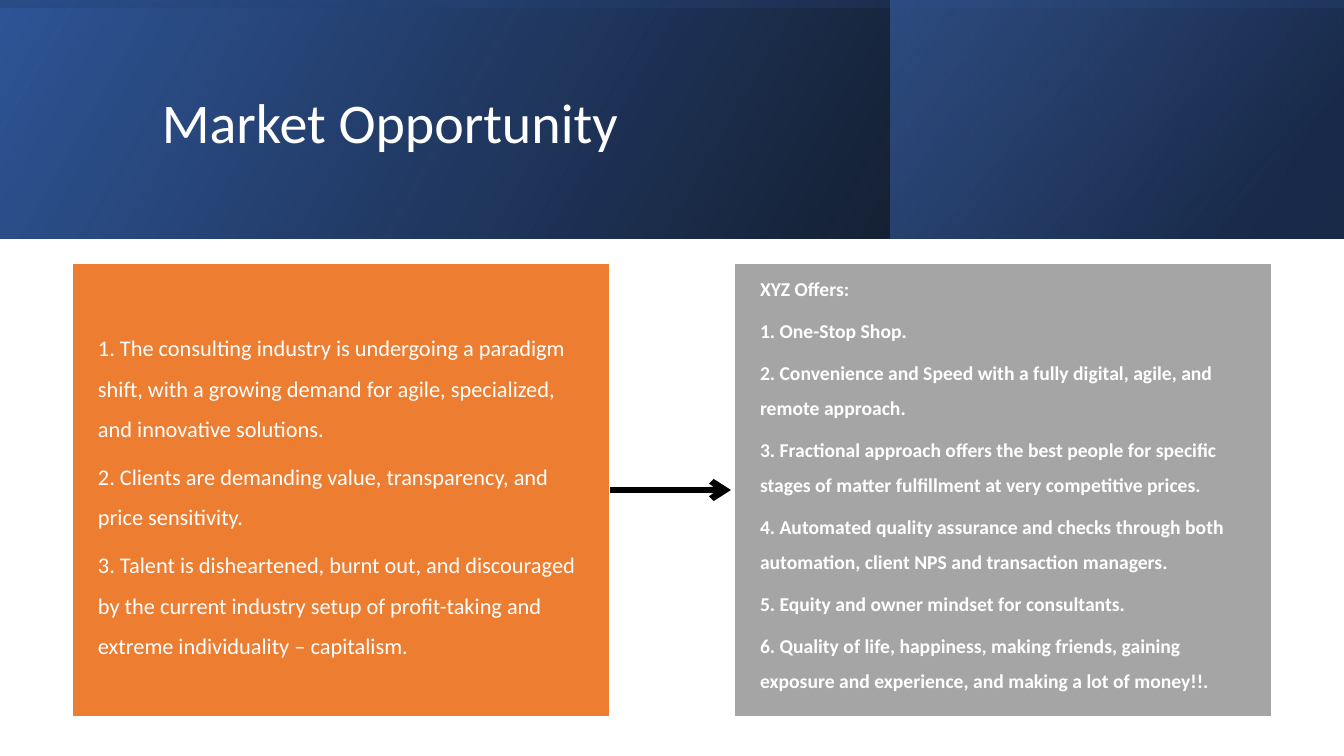
from lxml import etree
from pptx import Presentation, util as u
from pptx.dml.color import RGBColor
from pptx.enum import shapes, text
from pptx.oxml import ns

PX = 914400 / 100.8  # EMU in one px
BLACK = RGBColor(0x00, 0x00, 0x00)
WHITE = RGBColor(0xFF, 0xFF, 0xFF)
BLUE = RGBColor(0x2F, 0x55, 0x97)
NAVY = RGBColor(0x20, 0x38, 0x64)
SKY = RGBColor(0x44, 0x72, 0xC4)
ORANGE = RGBColor(0xED, 0x7D, 0x31)
GREY = RGBColor(0xA5, 0xA5, 0xA5)


def px(*nums):
    return [u.Emu(round(n * PX)) for n in nums]


def style(para, size, bold, line):
    para.alignment = text.PP_ALIGN.LEFT
    para.line_spacing = line
    font = para.runs[0].font
    font.name, font.size, font.bold = "Calibri", u.Pt(size), bold
    font.color.rgb = WHITE


prs = Presentation()
prs.slide_width, prs.slide_height = px(1344, 756)
slide = prs.slides.add_slide(prs.slide_layouts[6])
RECT = shapes.MSO_SHAPE.RECTANGLE

# Header: three mirrored gradient layers; stops are (percent, colour, opacity)
layers = [
    ((0, 0, 1344, 239), 0, 330, [(0, BLACK, 96), (100, BLUE, 100)]),
    ((891, 0, 452, 239), 0, 320, [(19, NAVY, 68), (100, SKY, 48)]),
    ((552, -552, 239, 1344), 270, 350, [(23, BLUE, 16), (99, BLACK, 45)]),
]
for area, turn, angle, stops in layers:
    band = slide.shapes.add_shape(RECT, *px(*area))
    band.shadow.inherit = False
    band.rotation = turn
    band._element.spPr.find(ns.qn("a:xfrm")).set("flipH", "1")
    band.line.fill.background()
    band.fill.gradient()
    band.fill.gradient_angle = 360 - angle
    for stop, (place, color, _) in zip(band.fill.gradient_stops, stops):
        stop.position = place / 100
        stop.color.rgb = color
    tints = band._element.spPr.iter(ns.qn("a:srgbClr"))
    for tint, (_, _, alpha) in zip(tints, stops):
        etree.SubElement(tint, ns.qn("a:alpha")).set("val", str(alpha * 1000))

# Title
title = slide.shapes.add_textbox(*px(152, 38, 1072, 174)).text_frame
title.word_wrap = True
title.vertical_anchor = text.MSO_ANCHOR.MIDDLE
title.text = "Market Opportunity"
style(title.paragraphs[0], 40, False, 0.9)

# Two panels: left, fill, size, bold, space after, bottom inset, lines
panels = [
    (72, ORANGE, 16, False, 5.5, 27, [
        "1. The consulting industry is undergoing a paradigm shift, with a "
        "growing demand for agile, specialized, and innovative solutions.",
        "2. Clients are demanding value, transparency, and price sensitivity.",
        "3. Talent is disheartened, burnt out, and discouraged by the current "
        "industry setup of profit-taking and extreme individuality – capitalism.",
    ]),
    (734, GREY, 14, True, 4.7, 49, [
        "XYZ Offers:",
        "1. One-Stop Shop.",
        "2. Convenience and Speed with a fully digital, agile, and remote approach.",
        "3. Fractional approach offers the best people for specific stages of "
        "matter fulfillment at very competitive prices.",
        "4. Automated quality assurance and checks through both automation, "
        "client NPS and transaction managers.",
        "5. Equity and owner mindset for consultants.",
        "6. Quality of life, happiness, making friends, gaining exposure and "
        "experience, and making a lot of money!!.",
    ]),
]
boxes = []
for left, color, size, bold, gap, foot, lines in panels:
    box = slide.shapes.add_shape(RECT, *px(left, 263, 538, 454))
    box.shadow.inherit = False
    box.fill.solid()
    box.fill.fore_color.rgb = color
    box.line.color.rgb = WHITE
    box.line.width = u.Pt(1)
    frame = box.text_frame
    frame.word_wrap = True
    frame.vertical_anchor = text.MSO_ANCHOR.MIDDLE
    frame.margin_left, frame.margin_right = px(26, 26)
    frame.margin_top, frame.margin_bottom = px(27, foot)
    frame.text = "\n".join(lines)
    for para in frame.paragraphs:
        style(para, size, bold, 1.5)
        para.space_after = u.Pt(gap)
    boxes.append(box)

# Arrow from the left panel towards the right one
arrow = slide.shapes.add_connector(
    shapes.MSO_CONNECTOR.STRAIGHT, *px(610, 490, 731, 490))
arrow.begin_connect(boxes[0], 3)
arrow.line.color.rgb = BLACK
arrow.line.width = u.Pt(4.5)
tip = etree.SubElement(arrow.line._get_or_add_ln(), ns.qn("a:tailEnd"))
tip.set("type", "arrow")
etree.SubElement(arrow._element.spPr, ns.qn("a:effectLst"))

prs.save("out.pptx")
